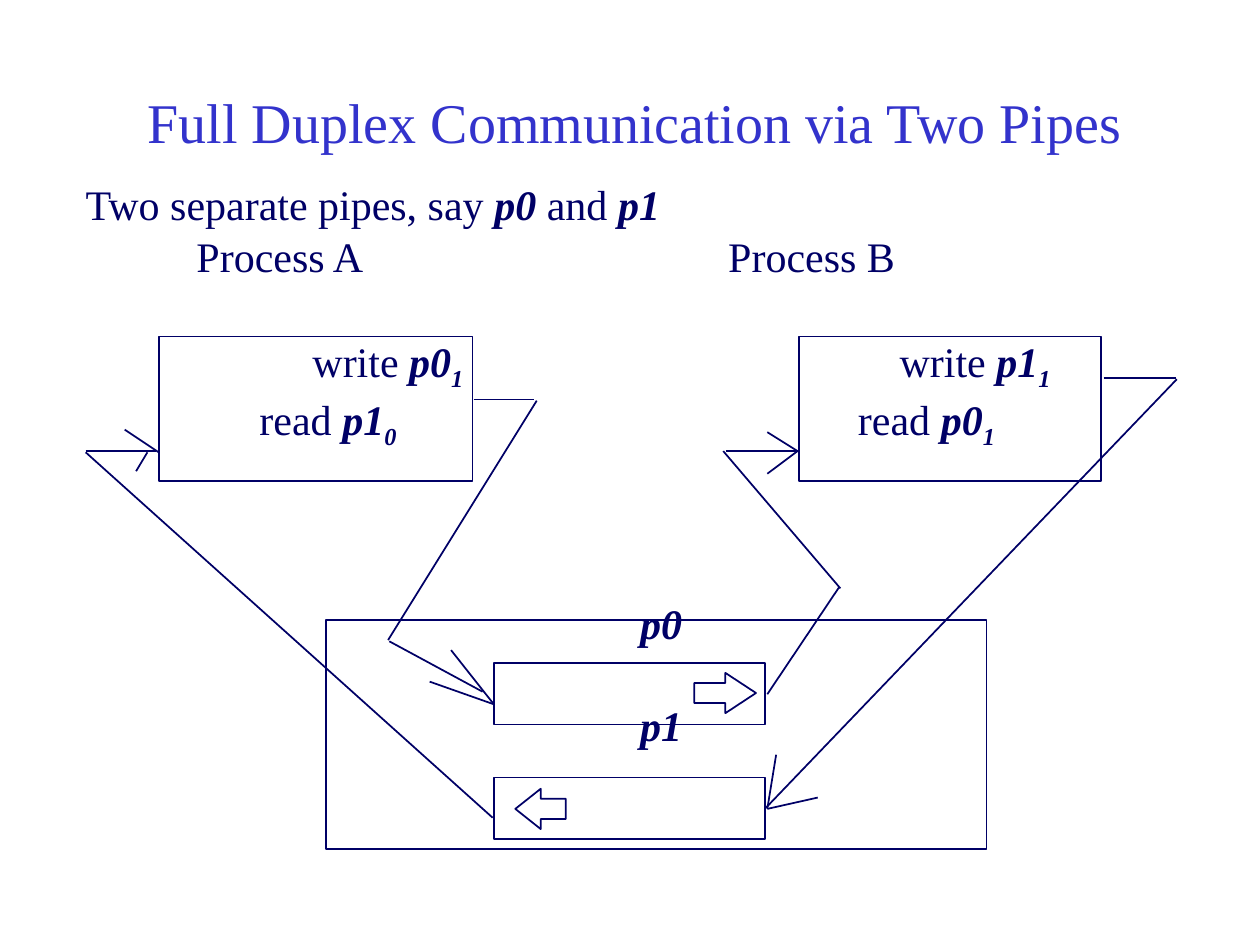
from pptx import Presentation
from pptx import util as u
from pptx.dml import color
from pptx.enum import shapes, text
from pptx.oxml import xmlchemy

Inches = u.Inches
THEME = {
    "font": "Times New Roman",
    "title": color.RGBColor(0x33, 0x33, 0xCC),
    "ink": color.RGBColor(0x00, 0x00, 0x66),
    "title_size": u.Pt(32),
    "body_size": u.Pt(24),
    "line_width": u.Pt(1),
}

presentation = Presentation()
presentation.slide_width, presentation.slide_height = Inches(10), Inches(7.5)
slide = presentation.slides.add_slide(presentation.slide_layouts[5])

title = slide.shapes.title
title.left, title.top = Inches(0.58), Inches(0.67)
title.width, title.height = Inches(8.92), Inches(0.58)
title.text_frame.text = "Full Duplex Communication via Two Pipes"
title.text_frame.vertical_anchor = text.MSO_ANCHOR.MIDDLE
title_paragraph = title.text_frame.paragraphs[0]
title_paragraph.alignment = text.PP_ALIGN.CENTER
title_font = title_paragraph.runs[0].font
title_font.name, title_font.size = THEME["font"], THEME["title_size"]
title_font.color.rgb = THEME["title"]

PLAIN, PIPE, END = "plain", "pipe", "end"
labels = [
    (0.68, 1.42, 5.2, [("Two separate pipes, say ", PLAIN), ("p0", PIPE), (" and ", PLAIN), ("p1", PIPE)]),
    (1.56, 1.83, 1.6, [("Process A", PLAIN)]),
    (5.78, 1.83, 1.6, [("Process B", PLAIN)]),
    (2.48, 2.66, 1.4, [("write ", PLAIN), ("p0", PIPE), ("1", END)]),
    (7.14, 2.66, 1.4, [("write ", PLAIN), ("p1", PIPE), ("1", END)]),
    (2.06, 3.12, 1.4, [("read ", PLAIN), ("p1", PIPE), ("0", END)]),
    (6.81, 3.12, 1.4, [("read ", PLAIN), ("p0", PIPE), ("1", END)]),
    (5.08, 4.74, 0.6, [("p0", PIPE)]),
    (5.08, 5.55, 0.6, [("p1", PIPE)]),
]
for left, top, width, parts in labels:
    label = slide.shapes.add_textbox(Inches(left), Inches(top), Inches(width), Inches(0.38))
    frame = label.text_frame
    frame.word_wrap = True
    frame.margin_left = frame.margin_right = frame.margin_top = frame.margin_bottom = 0
    for wording, style in parts:
        run = frame.paragraphs[0].add_run()
        run.text = wording
        run.font.name, run.font.size = THEME["font"], THEME["body_size"]
        run.font.color.rgb = THEME["ink"]
        run.font.bold = run.font.italic = style != PLAIN
        if style == END:
            run._r.get_or_add_rPr().set("baseline", "-25000")

RECTANGLE, ARROW = shapes.MSO_SHAPE.RECTANGLE, shapes.MSO_SHAPE.RIGHT_ARROW
LEFT_ARROW = shapes.MSO_SHAPE.LEFT_ARROW
outlines = [
    (RECTANGLE, 1.26, 2.67, 2.49, 1.15, None),
    (RECTANGLE, 6.34, 2.67, 2.4, 1.15, None),
    (RECTANGLE, 2.59, 4.92, 5.24, 1.82, None),
    (RECTANGLE, 3.92, 5.26, 2.15, 0.49, None),
    (RECTANGLE, 3.92, 6.17, 2.15, 0.49, None),
    (ARROW, 5.51, 5.34, 0.49, 0.32, 0.76),
    (LEFT_ARROW, 4.09, 6.26, 0.4, 0.32, 0.63),
]
for kind, left, top, width, height, head in outlines:
    shape = slide.shapes.add_shape(kind, Inches(left), Inches(top), Inches(width), Inches(height))
    shape.shadow.inherit = False
    shape.fill.background()
    shape.line.color.rgb, shape.line.width = THEME["ink"], THEME["line_width"]
    if head:
        shape.adjustments[0], shape.adjustments[1] = 0.5, head

a_writes_p0 = [
    (3.76, 3.17, 4.24, 3.17), (4.26, 3.18, 3.08, 5.08), (3.09, 5.09, 3.83, 5.49),
    (3.92, 5.59, 3.58, 5.16), (3.92, 5.59, 3.41, 5.41),
]
b_reads_p0 = [
    (6.09, 5.51, 6.66, 4.66), (6.67, 4.67, 5.74, 3.58), (5.76, 3.58, 6.33, 3.58),
    (6.09, 3.76, 6.33, 3.58), (6.09, 3.43, 6.33, 3.58),
]
b_writes_p1 = [
    (8.76, 3, 9.33, 3), (9.34, 3.01, 6.08, 6.41),
    (6.09, 6.42, 6.16, 5.99), (6.09, 6.42, 6.49, 6.33),
]
a_reads_p1 = [
    (0.68, 3.59, 3.91, 6.49), (0.68, 3.58, 1.24, 3.58),
    (1.26, 3.59, 0.99, 3.41), (1.17, 3.59, 1.08, 3.74),
]
for segment in a_writes_p0 + b_reads_p0 + b_writes_p1 + a_reads_p1:
    connector = slide.shapes.add_connector(shapes.MSO_CONNECTOR.STRAIGHT, *map(Inches, segment))
    connector.line.color.rgb, connector.line.width = THEME["ink"], THEME["line_width"]
    connector._element.spPr.append(xmlchemy.OxmlElement("a:effectLst"))

presentation.save("out.pptx")
